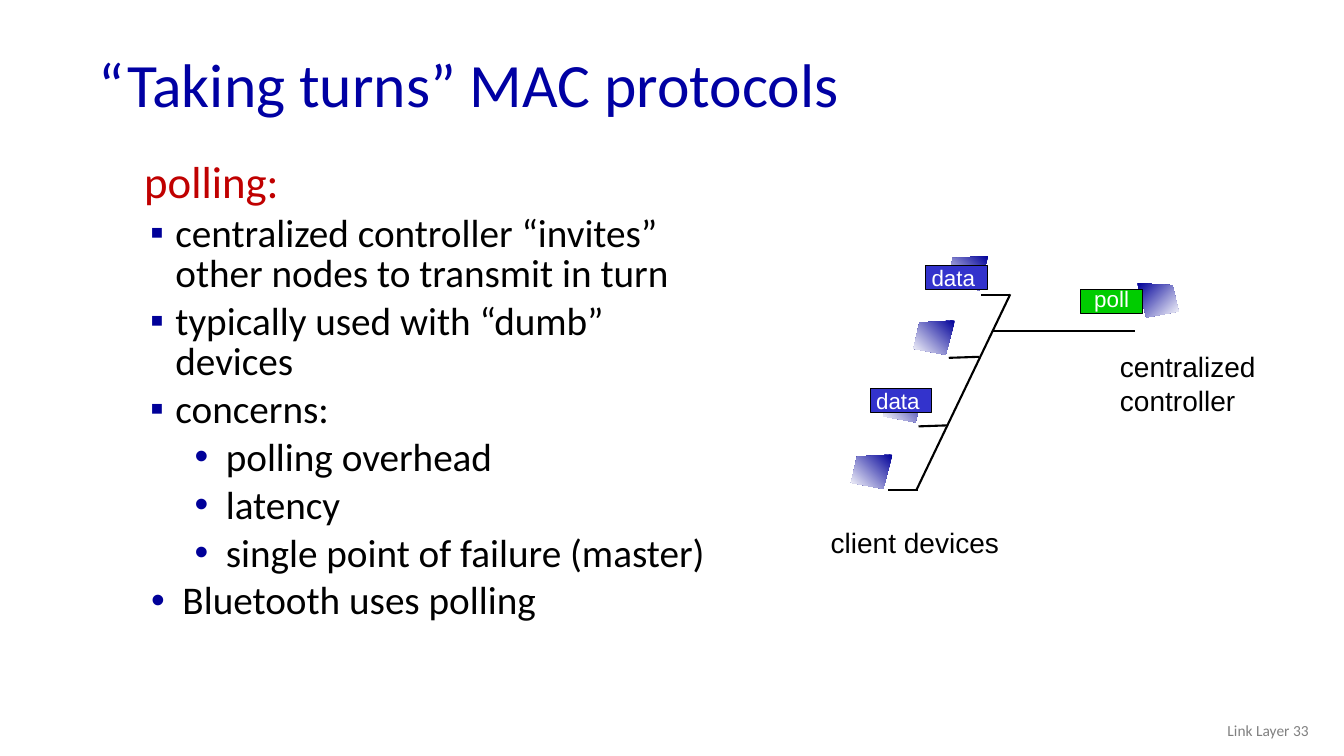
from dataclasses import dataclass

from lxml import etree
from pptx import Presentation
from pptx.dml.color import RGBColor
from pptx.enum import shapes, text
from pptx.oxml import ns
from pptx.util import Pt

PX = 9144


@dataclass(frozen=True)
class Theme:
    heading: str = "Calibri"
    diagram: str = "Arial"
    title: str = "0000A3"
    accent: str = "C00000"
    bullet: str = "000099"
    ink: str = "000000"
    light: str = "FFFFFF"
    muted: str = "808080"
    data: str = "3333CC"
    poll: str = "00CC00"
    title_size: int = 44
    lead_size: int = 32
    body_size: int = 28
    label_size: int = 20
    tag_size: int = 16
    footer_size: int = 11


THEME = Theme()

POINTS = [
    ("polling:", "lead"),
    ("centralized controller “invites” other nodes to transmit in turn", "square"),
    ("typically used with “dumb” devices", "square"),
    ("concerns:", "square"),
    ("polling overhead", "sub"),
    ("latency", "sub"),
    ("single point of failure (master)", "sub"),
    ("Bluetooth uses polling", "round"),
]
BULLETS = {
    "lead": (None, 0, 38, -38),
    "square": ("▪", 0, 31, -25),
    "sub": ("•", 1, 81, -31),
    "round": ("•", 0, 38, -31),
}
DEVICE_OUTLINE = [(41, 0), (6, 2), (0, 28), (32, 34)]
CONTROLLER_OUTLINE = [(41 - x, y) for x, y in DEVICE_OUTLINE]
DEVICES = [(844, 451), (876, 385), (906, 318), (939, 254)]
BUS_LINES = [
    (985, 328, 1126, 328),
    (973, 293, 1002, 293),
    (909, 486, 1002, 292),
    (941, 355, 971, 354),
    (911, 423, 940, 422),
    (881, 486, 910, 486),
]


def apply(target, values):
    for name, value in values.items():
        setattr(target, name, value)


def px(*lengths):
    return [length * PX for length in lengths]


def place(shape, bounds):
    apply(shape, dict(zip(("left", "top", "width", "height"), px(*bounds))))


def write(para, words, font, size, color):
    span = para.add_run()
    span.text = words
    apply(span.font, {"name": font, "size": Pt(size)})
    span.font.color.rgb = RGBColor.from_string(color)


def add_bullet(para, mark, margin, indent):
    properties = para._p.get_or_add_pPr()
    properties.set("marL", str(margin * PX))
    properties.set("indent", str(indent * PX))
    if mark is None:
        etree.SubElement(properties, ns.qn("a:buNone"))
        return
    color = etree.SubElement(properties, ns.qn("a:buClr"))
    etree.SubElement(color, ns.qn("a:srgbClr"), val=THEME.bullet)
    etree.SubElement(properties, ns.qn("a:buFont"), typeface=THEME.diagram)
    etree.SubElement(properties, ns.qn("a:buChar"), char=mark)


def fill_title(title):
    place(title, (88, 38, 1150, 98))
    frame = title.text_frame
    apply(frame, {"vertical_anchor": text.MSO_ANCHOR.MIDDLE,
                  "auto_size": text.MSO_AUTO_SIZE.NONE})
    para = frame.paragraphs[0]
    apply(para, {"alignment": text.PP_ALIGN.LEFT, "line_spacing": 0.9})
    write(para, "“Taking turns” MAC protocols", THEME.heading, THEME.title_size, THEME.title)


def fill_body(body):
    place(body, (133, 156, 600, 554))
    frame = body.text_frame
    frame.auto_size = text.MSO_AUTO_SIZE.NONE
    for index, (words, kind) in enumerate(POINTS):
        para = frame.add_paragraph() if index else frame.paragraphs[0]
        mark, level, margin, indent = BULLETS[kind]
        add_bullet(para, mark, margin, indent)
        apply(para, {"level": level, "line_spacing": 0.85,
                     "space_before": Pt(5.6 if index else 0)})
        lead = kind == "lead"
        write(para, words, THEME.heading,
              THEME.lead_size if lead else THEME.body_size,
              THEME.accent if lead else THEME.ink)


def add_node(page, left, top, outline, angle):
    corners = [(left + x, top + y) for x, y in outline]
    builder = page.shapes.build_freeform(*corners[0], scale=PX)
    builder.add_line_segments(corners[1:], close=True)
    node = builder.convert_to_shape()
    node.shadow.inherit = False
    node.line.fill.background()
    node.fill.gradient()
    node.fill.gradient_angle = angle
    for stop, color in zip(node.fill.gradient_stops, (THEME.bullet, THEME.light)):
        stop.color.rgb = RGBColor.from_string(color)


def add_line(page, ends):
    line = page.shapes.add_connector(shapes.MSO_CONNECTOR.STRAIGHT, *px(*ends))
    line.line.color.rgb = RGBColor.from_string(THEME.ink)
    line.line.width = Pt(1.5)
    etree.SubElement(line._element.spPr, ns.qn("a:effectLst"))


def add_tag(page, left, top, words, color, right=0, bottom=0):
    tag = page.shapes.add_shape(shapes.MSO_SHAPE.RECTANGLE, *px(left, top, 61, 24))
    tag.shadow.inherit = False
    tag.fill.solid()
    tag.fill.fore_color.rgb = RGBColor.from_string(color)
    tag.line.color.rgb = RGBColor.from_string(THEME.ink)
    tag.line.width = Pt(0.75)
    frame = tag.text_frame
    apply(frame, {"margin_left": 0, "margin_top": 0, "margin_right": right * PX,
                  "margin_bottom": bottom * PX, "word_wrap": True,
                  "vertical_anchor": text.MSO_ANCHOR.MIDDLE})
    para = frame.paragraphs[0]
    para.alignment = text.PP_ALIGN.CENTER
    write(para, words, THEME.diagram, THEME.tag_size, THEME.light)


def add_label(page, bounds, words, font, size, color, align=text.PP_ALIGN.LEFT):
    box = page.shapes.add_textbox(*px(*bounds))
    apply(box.text_frame, {"word_wrap": True, "vertical_anchor": text.MSO_ANCHOR.MIDDLE})
    para = box.text_frame.paragraphs[0]
    para.alignment = align
    write(para, words, font, size, color)


def main():
    deck = Presentation()
    apply(deck, {"slide_width": 1333 * PX, "slide_height": 750 * PX})
    page = deck.slides.add_slide(deck.slide_layouts[1])
    fill_title(page.shapes.title)
    fill_body(page.placeholders[1])
    for left, top in DEVICES:
        add_node(page, left, top, DEVICE_OUTLINE, 225)
    add_node(page, 1128, 281, CONTROLLER_OUTLINE, 315)
    add_label(page, (1101, 342, 174, 77), "centralized controller",
              THEME.diagram, THEME.label_size, THEME.ink)
    add_label(page, (814, 516, 195, 44), "client devices",
              THEME.diagram, THEME.label_size, THEME.ink)
    add_tag(page, 1072, 287, "poll", THEME.poll, bottom=5)
    for left, top in ((863, 385), (918, 263)):
        add_tag(page, left, top, "data", THEME.data, right=6)
    for ends in BUS_LINES:
        add_line(page, ends)
    add_label(page, (1008, 705, 300, 40), "Link Layer 33", THEME.heading,
              THEME.footer_size, THEME.muted, text.PP_ALIGN.RIGHT)
    deck.save("out.pptx")


if __name__ == "__main__":
    main()
